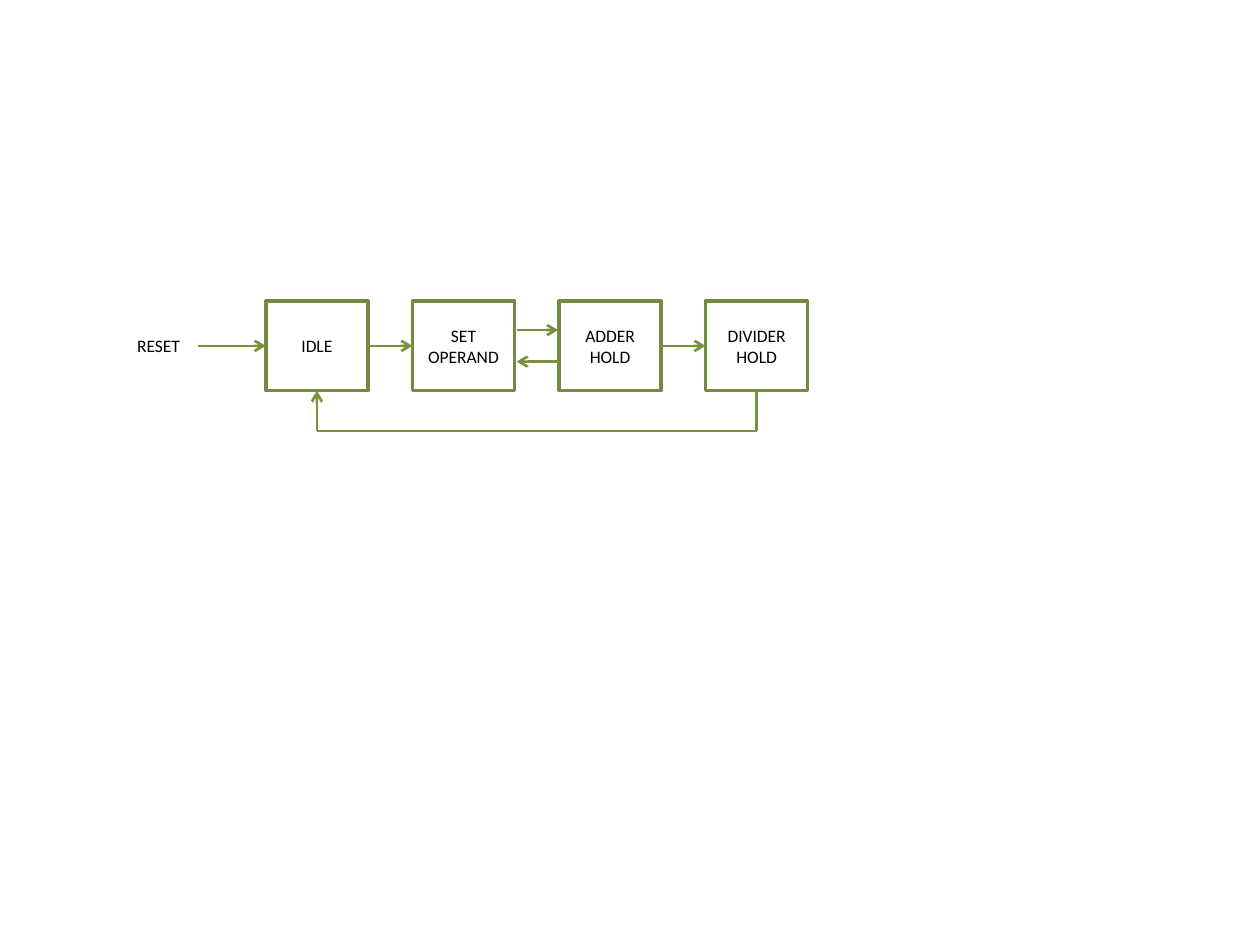
import pptx
import pptx.dml.color
import pptx.enum.shapes
import pptx.enum.text
import pptx.oxml.ns
import pptx.util
from lxml import etree

Inches = pptx.util.Inches
TOP, LEFT, BOTTOM, RIGHT = range(4)


def color(hex_value):
    return pptx.dml.color.RGBColor.from_string(hex_value)


class Diagram:
    """Draws state boxes, labels and transitions on one slide in one style."""

    box_line = {"width": pptx.util.Pt(2), "color": "738A42"}
    flow_line = {"width": pptx.util.Pt(1.5), "color": "77933C"}
    font = {"name": "Calibri", "size": pptx.util.Pt(10)}
    text_color = "000000"

    def __init__(self, slide):
        self.slide = slide

    def style_line(self, line, style):
        line.width = style["width"]
        line.color.rgb = color(style["color"])

    def set_text(self, shape, text, anchor, align):
        frame = shape.text_frame
        frame_format = {"word_wrap": True, "vertical_anchor": anchor}
        for key, value in frame_format.items():
            setattr(frame, key, value)
        paragraph = frame.paragraphs[0]
        paragraph.alignment = align
        run = paragraph.add_run()
        run.text = text
        for key, value in self.font.items():
            setattr(run.font, key, value)
        run.font.color.rgb = color(self.text_color)

    def state(self, text, left, top, width, height):
        box = self.slide.shapes.add_shape(
            pptx.enum.shapes.MSO_SHAPE.RECTANGLE,
            Inches(left), Inches(top), Inches(width), Inches(height))
        box.shadow.inherit = False
        box.fill.background()
        self.style_line(box.line, self.box_line)
        self.set_text(box, text, pptx.enum.text.MSO_ANCHOR.MIDDLE,
                      pptx.enum.text.PP_ALIGN.CENTER)
        return box

    def label(self, text, left, top, width, height):
        box = self.slide.shapes.add_textbox(
            Inches(left), Inches(top), Inches(width), Inches(height))
        self.set_text(box, text, pptx.enum.text.MSO_ANCHOR.TOP,
                      pptx.enum.text.PP_ALIGN.LEFT)
        return box

    def transition(self, start, end, arrow=True):
        """Join two ends, each an (x, y) in inches or a (shape, side)."""
        joins = [not isinstance(site, (int, float)) for site, _ in (start, end)]
        points = [(0, 0) if joined else (Inches(x), Inches(y))
                  for joined, (x, y) in zip(joins, (start, end))]
        line = self.slide.shapes.add_connector(
            pptx.enum.shapes.MSO_CONNECTOR.STRAIGHT, *points[0], *points[1])
        if joins[0]:
            line.begin_connect(*start)
        if joins[1]:
            line.end_connect(*end)
        self.style_line(line.line, self.flow_line)
        properties = line._element.spPr
        if arrow:
            tail = etree.SubElement(properties.find(pptx.oxml.ns.qn("a:ln")),
                                    pptx.oxml.ns.qn("a:tailEnd"))
            tail.set("type", "arrow")
        etree.SubElement(properties, pptx.oxml.ns.qn("a:effectLst"))


def main():
    presentation = pptx.Presentation()
    presentation.slide_width = Inches(10)
    presentation.slide_height = Inches(7.5)
    diagram = Diagram(presentation.slides.add_slide(presentation.slide_layouts[6]))

    first_left, last_left, top, width, height = 2.11, 5.6, 2.39, 0.81, 0.71
    names = ["IDLE", "SET OPERAND", "ADDER HOLD", "DIVIDER HOLD"]
    pitch = (last_left - first_left) / (len(names) - 1)
    idle, operand, adder, divider = [
        diagram.state(name, first_left + i * pitch, top, width, height)
        for i, name in enumerate(names)]
    middle = top + height / 2
    label_height = 0.27
    reset = diagram.label("RESET", 0.99, middle - label_height / 2, 0.58, label_height)

    for source, target in [(reset, idle), (idle, operand), (adder, divider)]:
        diagram.transition((source, RIGHT), (target, LEFT))

    operand_x, adder_x = 4.1, 4.43
    diagram.transition((operand_x, 2.62), (adder_x, 2.62))
    diagram.transition((adder_x, 2.87), (operand_x, 2.87))

    return_y = 3.42
    idle_x, divider_x = first_left + width / 2, last_left + width / 2
    diagram.transition((divider, BOTTOM), (divider_x, return_y), arrow=False)
    diagram.transition((divider_x, return_y), (idle_x, return_y), arrow=False)
    diagram.transition((idle_x, return_y), (idle, BOTTOM))

    presentation.save("out.pptx")


if __name__ == "__main__":
    main()
